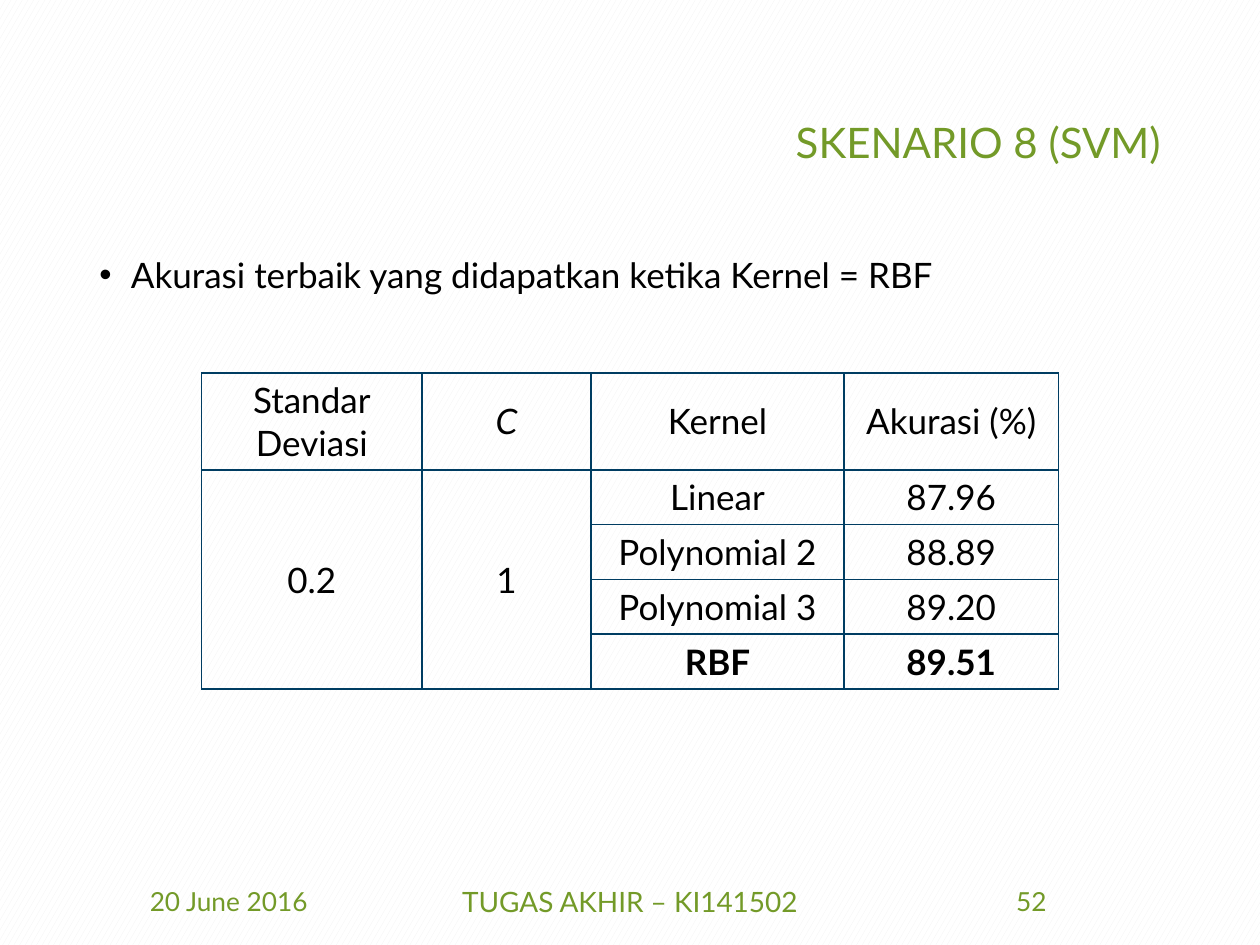
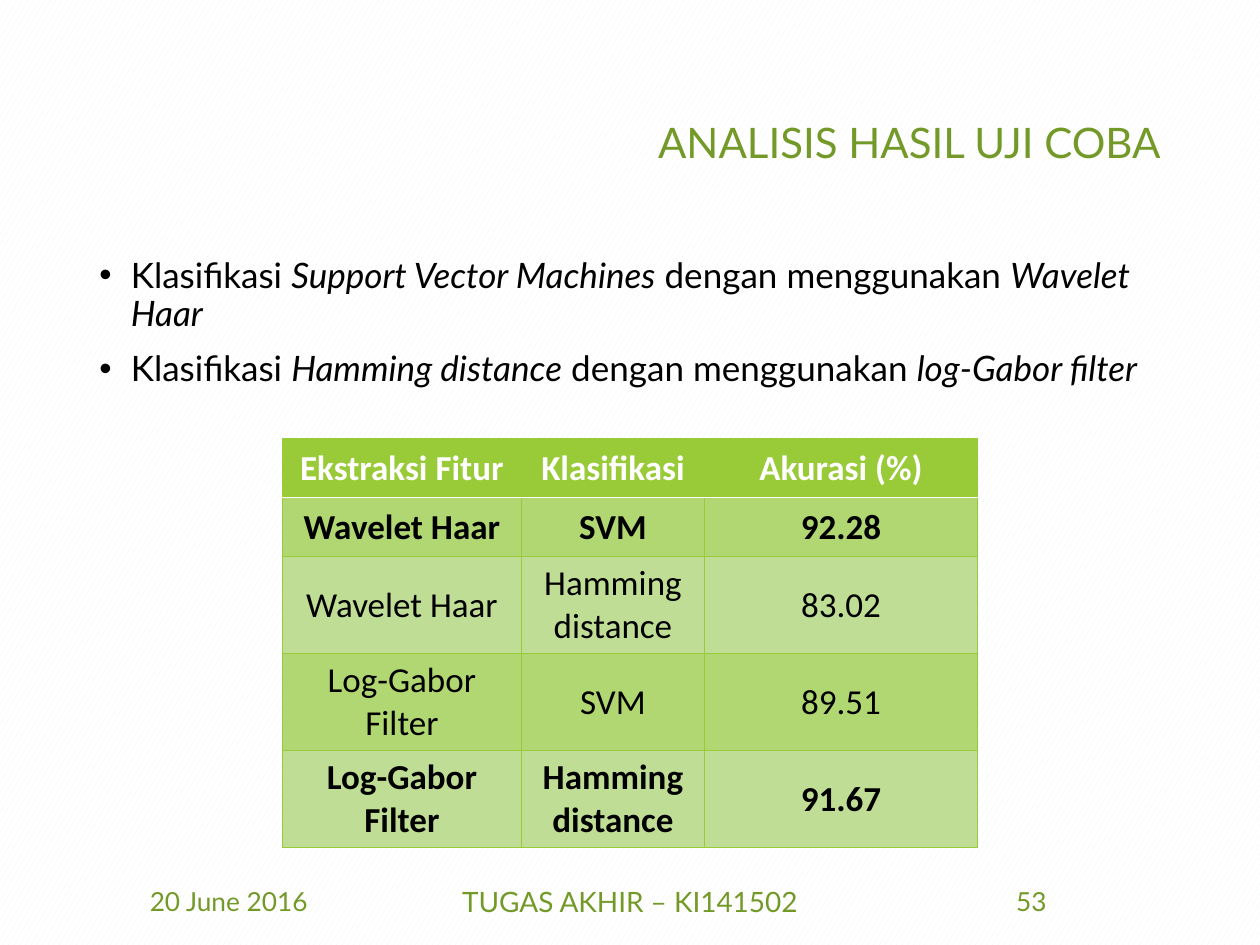
import pptx
import pptx.util
import pptx.dml.color
import pptx.enum.dml
import pptx.enum.text
import pptx.oxml.ns
from lxml import etree

Inches = pptx.util.Inches
Pt = pptx.util.Pt
Align = pptx.enum.text.PP_ALIGN
Anchor = pptx.enum.text.MSO_ANCHOR

COLORS = {
    "title": "739A28",
    "text": "000000",
    "white": "FFFFFF",
    "hatch": "F2F2F2",
    "navy": "003D62",
    "green": "99CB38",
    "band_dark": "B0D772",
    "band_light": "C0DD96",
}
MARGIN = 0.69
CONTENT_WIDTH = 8.62
FOOTER_TOP = 6.95
FOOTER_HEIGHT = 0.4
BULLET_INDENT = 0.25


def rgb(name):
    return pptx.dml.color.RGBColor.from_string(COLORS[name])


def add_xml(parent, tag, **attributes):
    return etree.SubElement(parent, pptx.oxml.ns.qn(tag), attributes)


class Deck:
    """Holds the presentation, its shared style and the current slide."""

    font = "Lato"

    def __init__(self):
        self.presentation = pptx.Presentation()
        self.presentation.slide_width = Inches(10)
        self.presentation.slide_height = Inches(7.5)
        self.slide = None

    def add_slide(self, title, number):
        self.slide = self.presentation.slides.add_slide(self.presentation.slide_layouts[6])
        fill = self.slide.background.fill
        fill.patterned()
        fill.pattern = pptx.enum.dml.MSO_PATTERN.LARGE_CONFETTI
        fill.fore_color.rgb = rgb("hatch")
        fill.back_color.rgb = rgb("white")
        self.add_label(title, MARGIN, 0.4, CONTENT_WIDTH, 1.45, 24, Align.RIGHT)
        footers = [
            ("20 June 2016", MARGIN, 2.25, 15),
            ("TUGAS AKHIR – KI141502", 3.31, 3.38, 16),
            (str(number), 7.06, 2.25, 15),
        ]
        for text, left, width, size in footers:
            self.add_label(text, left, FOOTER_TOP, width, FOOTER_HEIGHT, size, Align.CENTER)

    def style_paragraph(self, paragraph, size, color, alignment, font=None, bold=False):
        paragraph.alignment = alignment
        for run in paragraph.runs:
            run.font.name = font or self.font
            run.font.size = Pt(size)
            run.font.bold = bold
            run.font.color.rgb = rgb(color)

    def add_text_frame(self, left, top, width, height, anchor):
        box = self.slide.shapes.add_textbox(
            Inches(left), Inches(top), Inches(width), Inches(height))
        box.text_frame.word_wrap = True
        box.text_frame.vertical_anchor = anchor
        return box.text_frame

    def add_label(self, text, left, top, width, height, size, alignment):
        text_frame = self.add_text_frame(left, top, width, height, Anchor.MIDDLE)
        text_frame.text = text
        self.style_paragraph(text_frame.paragraphs[0], size, "title", alignment)

    def add_bullets(self, bullets):
        """Each bullet is a list of pieces; every second piece is italic."""
        text_frame = self.add_text_frame(MARGIN, 2, CONTENT_WIDTH, 4.76, Anchor.TOP)
        for index, pieces in enumerate(bullets):
            paragraph = text_frame.add_paragraph() if index else text_frame.paragraphs[0]
            for position, piece in enumerate(pieces):
                run = paragraph.add_run()
                run.text = piece
                run.font.italic = position % 2 == 1
            self.style_paragraph(paragraph, 20, "text", Align.LEFT)
            paragraph.line_spacing = 0.9
            paragraph.space_before = Pt(10)
            properties = paragraph._p.get_or_add_pPr()
            properties.set("marL", str(Inches(BULLET_INDENT)))
            properties.set("indent", str(-Inches(BULLET_INDENT)))
            add_xml(properties, "a:buFont", typeface="Arial")
            add_xml(properties, "a:buChar", char="•")

    def add_table(self, left, top, column_widths, row_heights, rows):
        frame = self.slide.shapes.add_table(
            len(rows), len(column_widths), Inches(left), Inches(top),
            Inches(sum(column_widths)), Inches(sum(row_heights)))
        table = frame.table
        table.first_row = False
        table.horz_banding = False
        for column, width in zip(table.columns, column_widths):
            column.width = Inches(width)
        for row, height in zip(table.rows, row_heights):
            row.height = Inches(height)
        for row, texts in zip(table.rows, rows):
            for cell, text in zip(row.cells, texts):
                cell.text = text
        return table

    def style_cell(self, cell, border, width, fill=None, color="text", font=None,
                   bold=False, white_sides=()):
        cell.vertical_anchor = Anchor.MIDDLE
        cell.margin_left = cell.margin_right = Inches(0.07)
        cell.margin_top = cell.margin_bottom = 0
        for paragraph in cell.text_frame.paragraphs:
            self.style_paragraph(paragraph, 20, color, Align.CENTER, font, bold)
        properties = cell._tc.get_or_add_tcPr()
        for side in "LRTB":
            is_white = side in white_sides
            line = add_xml(properties, f"a:ln{side}", w=str(Pt(1 if is_white else width)))
            solid = add_xml(line, "a:solidFill")
            add_xml(solid, "a:srgbClr", val=COLORS["white" if is_white else border])
        if fill:
            cell.fill.solid()
            cell.fill.fore_color.rgb = rgb(fill)
        else:
            cell.fill.background()


def add_kernel_slide(deck):
    deck.add_slide("SKENARIO 8 (SVM)", 52)
    deck.add_bullets([["Akurasi terbaik yang didapatkan ketika Kernel = RBF"]])
    rows = [
        ["Standar\nDeviasi", "C", "Kernel", "Akurasi (%)"],
        ["0.2", "1", "Linear", "87.96"],
        ["", "", "Polynomial 2", "88.89"],
        ["", "", "Polynomial 3", "89.20"],
        ["", "", "RBF", "89.51"],
    ]
    table = deck.add_table(1.6, 2.96, [1.75, 1.34, 2.01, 1.7], [0.77] + [0.435] * 4, rows)
    last_row = len(rows) - 1
    for row_index, row in enumerate(table.rows):
        for cell in row.cells:
            deck.style_cell(cell, "navy", 1, bold=row_index == last_row)
    table.cell(0, 1).text_frame.paragraphs[0].runs[0].font.italic = True
    for column_index in (0, 1):
        table.cell(1, column_index).merge(table.cell(last_row, column_index))


def add_analysis_slide(deck):
    deck.add_slide("ANALISIS HASIL UJI COBA", 53)
    deck.add_bullets([
        ["Klasifikasi ", "Support Vector Machines", " dengan menggunakan ", "Wavelet Haar"],
        ["Klasifikasi ", "Hamming distance", " dengan menggunakan ", "log-Gabor filter"],
    ])
    rows = [
        ["Ekstraksi Fitur", "Klasifikasi", "Akurasi (%)"],
        ["Wavelet Haar", "SVM", "92.28"],
        ["Wavelet Haar", "Hamming distance", "83.02"],
        ["Log-Gabor Filter", "SVM", "89.51"],
        ["Log-Gabor Filter", "Hamming distance", "91.67"],
    ]
    table = deck.add_table(2.24, 3.48, [1.9, 1.45, 2.17], [0.47] * 2 + [0.77] * 3, rows)
    fills = ["green"] + ["band_dark", "band_light"] * 2
    white_sides = {0: "B", 1: "T"}
    bold_rows = (0, 1, 4)
    for row_index, (row, fill) in enumerate(zip(table.rows, fills)):
        for cell in row.cells:
            deck.style_cell(
                cell, "green", 0.5, fill, "text" if row_index else "white", "Calibri",
                row_index in bold_rows, white_sides.get(row_index, ""))


def main():
    deck = Deck()
    add_kernel_slide(deck)
    add_analysis_slide(deck)
    deck.presentation.save("out.pptx")


if __name__ == "__main__":
    main()
